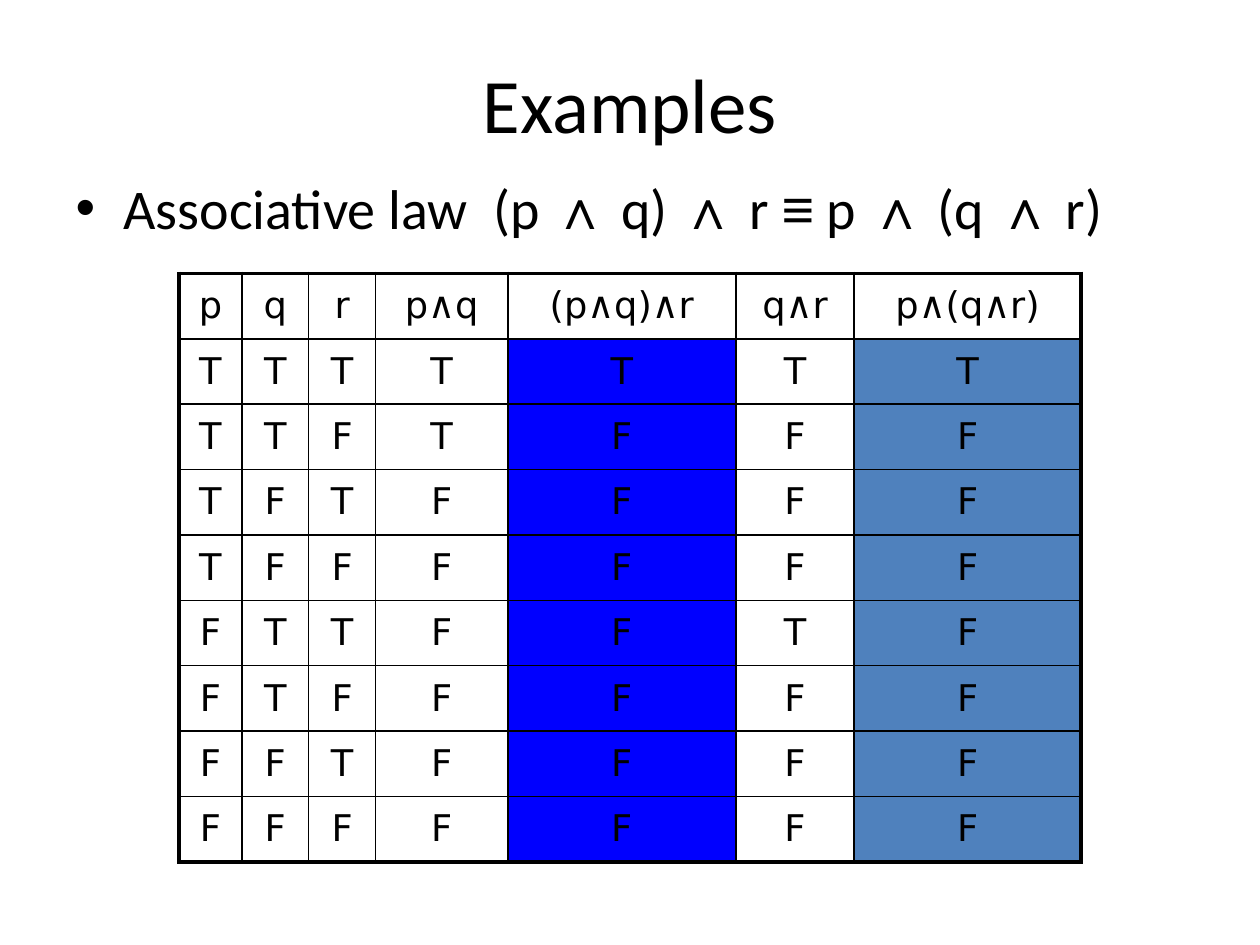
"""Build a slide that checks the associative law of conjunction with a truth table."""
import itertools
from dataclasses import dataclass

import lxml.etree
import pptx
import pptx.dml.color
import pptx.enum.text
import pptx.oxml
import pptx.oxml.ns
import pptx.util


@dataclass(frozen=True)
class Theme:
    ink: str = "000000"
    left_side: str = "0000FF"
    right_side: str = "4F81BD"
    text_font: str = "Calibri"
    symbol_font: str = "Arial"
    table_font: str = "DejaVu Sans"
    title_size: float = 44
    body_size: float = 32
    table_size: float = 21
    frame_line: float = 2.25
    grid_line: float = 1


def add_span(para, text, font_name, size):
    span = para.add_run()
    span.text = text
    span.font.name = font_name
    span.font.size = pptx.util.Pt(size)
    span.font.color.rgb = pptx.dml.color.RGBColor.from_string(theme.ink)


def add_border(cell, side, width):
    properties = cell._tc.get_or_add_tcPr()
    line = lxml.etree.SubElement(properties, pptx.oxml.ns.qn(f"a:ln{side}"), w=str(pptx.util.Pt(width)))
    fill = lxml.etree.SubElement(line, pptx.oxml.ns.qn("a:solidFill"))
    lxml.etree.SubElement(fill, pptx.oxml.ns.qn("a:srgbClr"), val=theme.ink)


theme = Theme()
deck = pptx.Presentation()
deck.slide_width = pptx.util.Inches(10)
deck.slide_height = pptx.util.Inches(7.5)
across = deck.slide_width / 100
down = deck.slide_height / 100
page = deck.slides.add_slide(deck.slide_layouts[1])
title = page.shapes.title
body = page.placeholders[1]

for box, top, height in ((title, 4, 13.73), (body, 17.73, 78.93)):
    box.left, box.width = int(5 * across), int(90 * across)
    box.top, box.height = int(top * down), int(height * down)

title.text_frame.vertical_anchor = pptx.enum.text.MSO_ANCHOR.MIDDLE
para = title.text_frame.paragraphs[0]
para.alignment = pptx.enum.text.PP_ALIGN.CENTER
add_span(para, "Examples", theme.text_font, theme.title_size)

para = body.text_frame.paragraphs[0]
para.space_before = pptx.util.Pt(0)
indent = pptx.util.Inches(0.38)
settings = para._p.get_or_add_pPr()
settings.set("marL", str(indent))
settings.set("indent", str(-indent))
lxml.etree.SubElement(settings, pptx.oxml.ns.qn("a:buFont"), typeface=theme.symbol_font)
lxml.etree.SubElement(settings, pptx.oxml.ns.qn("a:buChar"), char="•")
law = ("Associative law  (p ", "∧", " q) ", "∧", " r ", "≡", " p ", "∧", " (q ", "∧", " r)")
for text, font_name in zip(law, itertools.cycle((theme.text_font, theme.symbol_font))):
    add_span(para, text, font_name, theme.body_size)

rows = [("p", "q", "r", "p∧q", "(p∧q)∧r", "q∧r", "p∧(q∧r)")]
for p, q, r in itertools.product((True, False), repeat=3):
    values = (p, q, r, p and q, (p and q) and r, q and r, p and (q and r))
    rows.append(tuple("T" if value else "F" for value in values))

column_shares = (5, 5.3, 5.3, 10.5, 18.1, 9.4, 18)
column_fills = {4: theme.left_side, 6: theme.right_side}
last_row, last_column = len(rows) - 1, len(column_shares) - 1
table = page.shapes.add_table(
    len(rows), len(column_shares), int(14.2 * across), int(28.93 * down),
    int(sum(column_shares) * across), int(62.27 * down),
).table
table.first_row = False
table.horz_banding = False
for column, share in zip(table.columns, column_shares):
    column.width = int(share * across)

for row_index, row in enumerate(rows):
    for column_index, text in enumerate(row):
        cell = table.cell(row_index, column_index)
        cell.vertical_anchor = pptx.enum.text.MSO_ANCHOR.MIDDLE
        para = cell.text_frame.paragraphs[0]
        para.alignment = pptx.enum.text.PP_ALIGN.CENTER
        add_span(para, text, theme.table_font, theme.table_size)
        outer_sides = {
            "L": column_index == 0,
            "R": column_index == last_column,
            "T": row_index == 0,
            "B": row_index == last_row,
        }
        for side, is_outer in outer_sides.items():
            add_border(cell, side, theme.frame_line if is_outer else theme.grid_line)
        if row_index > 0 and column_index in column_fills:
            cell.fill.solid()
            cell.fill.fore_color.rgb = pptx.dml.color.RGBColor.from_string(column_fills[column_index])
        else:
            cell.fill.background()

deck.save("out.pptx")
